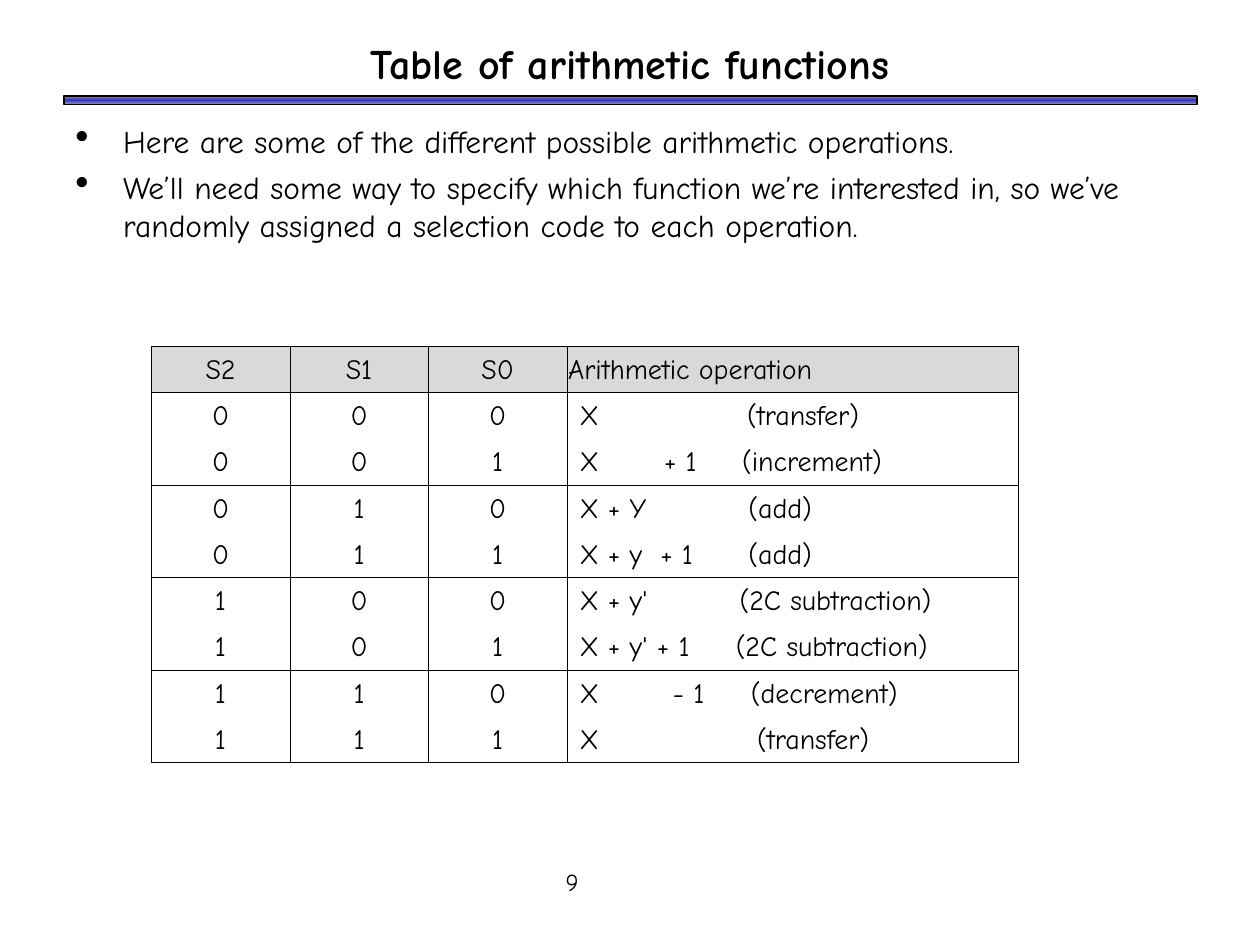
"""Build the slide with the table of arithmetic functions."""
import copy

import lxml.etree
import pptx
import pptx.dml.color
import pptx.enum.shapes
import pptx.enum.text
import pptx.oxml
import pptx.oxml.ns
import pptx.util

Inches = pptx.util.Inches
Pt = pptx.util.Pt
qn = pptx.oxml.ns.qn
ALIGN = pptx.enum.text.PP_ALIGN
ANCHOR = pptx.enum.text.MSO_ANCHOR


def color(value):
    return pptx.dml.color.RGBColor.from_string(value)


def write(p, text, size, align=ALIGN.LEFT, bold=False):
    p.alignment = align
    r = p.add_run()
    r.text = text
    for name, value in {"name": "Comic Neue", "size": Pt(size), "bold": bold}.items():
        setattr(r.font, name, value)
    r.font.color.rgb = color("000000")


prs = pptx.Presentation()
prs.slide_width = Inches(10)
prs.slide_height = Inches(7.5)
s = prs.slides.add_slide(prs.slide_layouts[6])

bar = s.shapes.add_shape(
    pptx.enum.shapes.MSO_SHAPE.RECTANGLE, Inches(0.51), Inches(0.76), Inches(8.99), Inches(0.07)
)
bar.shadow.inherit = False
bar.line.color.rgb = color("000000")
bar.line.width = Pt(1)
bar.fill.gradient()
bar.fill.gradient_angle = 90
stop_list = bar._element.spPr.find(".//" + qn("a:gsLst"))
stop_list.insert(1, copy.deepcopy(stop_list[0]))
for stop, shade, place in zip(bar.fill.gradient_stops, ("969696", "3333CC", "969696"), (0, 0.5, 1)):
    stop.color.rgb = color(shade)
    stop.position = place

for text, left, top, width, size, bold, wrap in (
    ("9", 3.5, 6.75, 2.08, 14, False, False),
    ("Table of arithmetic functions", 0.5, 0.25, 9, 24, True, True),
):
    sp = s.shapes.add_textbox(Inches(left), Inches(top), Inches(width), Inches(0.5))
    tf = sp.text_frame
    tf.word_wrap = wrap
    tf.vertical_anchor = ANCHOR.MIDDLE
    write(tf.paragraphs[0], text, size, ALIGN.CENTER, bold)

body = s.shapes.add_textbox(Inches(0.5), Inches(0.92), Inches(9), Inches(5.67))
body.fill.solid()
body.fill.fore_color.rgb = color("FFFFFF")
tf = body.text_frame
tf.word_wrap = True
for i, text in enumerate((
    "Here are some of the different possible arithmetic operations.",
    "We’ll need some way to specify which function we’re interested in, "
    "so we’ve randomly assigned a selection code to each operation.",
)):
    p = tf.add_paragraph() if i else tf.paragraphs[0]
    pPr = p._p.get_or_add_pPr()
    pPr.set("marL", str(Inches(0.38)))
    pPr.set("indent", str(-Inches(0.38)))
    bullet_color = lxml.etree.SubElement(pPr, qn("a:buClr"))
    lxml.etree.SubElement(bullet_color, qn("a:srgbClr"), val="000000")
    lxml.etree.SubElement(pPr, qn("a:buSzPct"), val="125000")
    lxml.etree.SubElement(pPr, qn("a:buChar"), char="•")
    p.space_before = Pt(4.5 if i else 0)
    write(p, text, 18)

operations = (
    ("X\t(transfer)", (1.33,)),
    ("X\t+ 1\t(increment)", (0.67, 1.29)),
    ("X + Y\t(add)", (1.34,)),
    ("X + y\t+ 1\t(add)", (0.64, 1.34)),
    ("X + y'\t(2C subtraction)", (1.27,)),
    ("X + y' + 1\t(2C subtraction)", (1.24,)),
    ("X\t- 1\t(decrement)", (0.74, 1.36)),
    ("X\t(transfer)", (1.41,)),
)
rows = [("S2", "S1", "S0", "Arithmetic operation")]
rows += [(*format(code, "03b"), text) for code, (text, stops) in enumerate(operations)]

table = s.shapes.add_table(9, 4, Inches(1.2), Inches(2.75), Inches(6.88), Inches(3.15)).table
table.first_row = False
table.horz_banding = False
for column, width in zip(table.columns, (1.1, 1.1, 1.1, 3.58)):
    column.width = Inches(width)

for i, row in enumerate(rows):
    table.rows[i].height = Inches(0.35)
    for j, text in enumerate(row):
        cell = table.cell(i, j)
        layout = {
            "margin_left": Inches(0.1 if i and j == 3 else 0.01),
            "margin_right": Inches(0.01),
            "margin_top": Inches(0.05),
            "margin_bottom": Inches(0.05),
            "vertical_anchor": ANCHOR.BOTTOM,
        }
        for name, value in layout.items():
            setattr(cell, name, value)
        if i:
            cell.fill.background()
        else:
            cell.fill.solid()
            cell.fill.fore_color.rgb = color("D9D9D9")

        p = cell.text_frame.paragraphs[0]
        if i and j == 3:
            tabs = lxml.etree.SubElement(p._p.get_or_add_pPr(), qn("a:tabLst"))
            for stop in operations[i - 1][1]:
                lxml.etree.SubElement(tabs, qn("a:tab"), pos=str(Inches(stop)), algn="l")
        write(p, text, 16, ALIGN.LEFT if j == 3 else ALIGN.CENTER)

        borders = {
            "L": 0.45 if j in (0, 3) else 0.23,
            "R": 0.45 if j >= 2 else 0.23,
            "T": 0.45 if i < 2 else 0.23 * (i % 2),
            "B": 0.45 if i in (0, 8) else 0.23 * (i % 2 == 0),
        }
        tcPr = cell._tc.get_or_add_tcPr()
        for place, (side, width) in enumerate(borders.items()):
            line = lxml.etree.Element(qn("a:ln" + side), w=str(Pt(width)))
            tcPr.insert(place, line)
            if width:
                fill = lxml.etree.SubElement(line, qn("a:solidFill"))
                lxml.etree.SubElement(fill, qn("a:srgbClr"), val="000000")
            else:
                lxml.etree.SubElement(line, qn("a:noFill"))

prs.save("out.pptx")
